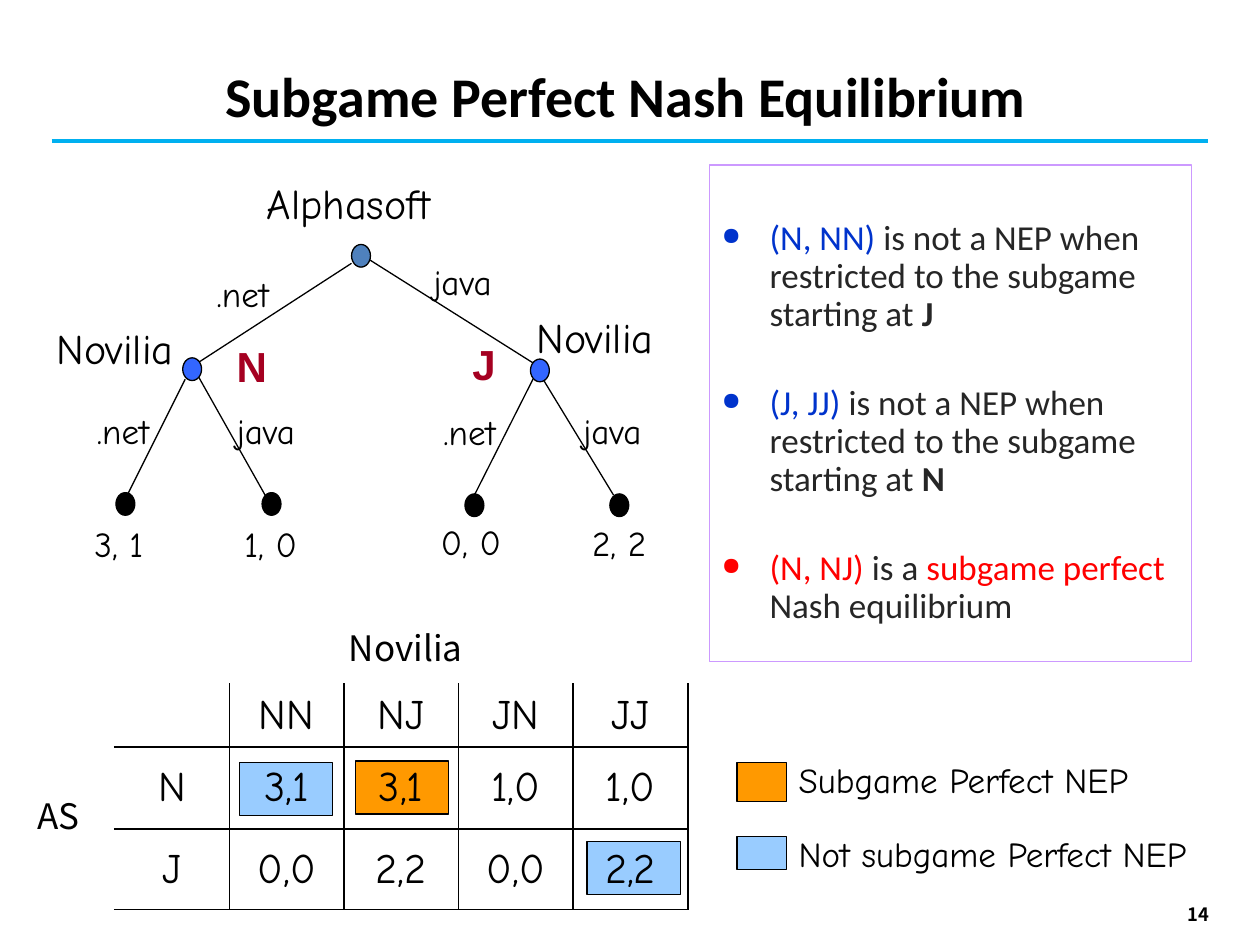
from lxml import etree
from pptx import Presentation, util as u
from pptx.dml.color import RGBColor
from pptx.enum import shapes, text
from pptx.oxml.ns import qn

BLACK, BLUE, ORANGE, RED = "000000", "99CCFF", "FF9900", "FF0000"
HAND, SANS, BODY = "Comic Neue", "Noto Sans CJK KR", "Calibri"


def color(value):
    return RGBColor.from_string(value)


class SlideBuilder:
    """Holds the style and the current slide, and adds each kind of element."""

    def __init__(self, presentation):
        self.slide = presentation.slides.add_slide(presentation.slide_layouts[6])
        self.shapes = self.slide.shapes

    def run(self, paragraph, words, size=20, name=HAND, tint=BLACK, bold=False):
        run = paragraph.add_run()
        run.text = words
        for key, value in {"size": u.Pt(size), "name": name, "bold": bold}.items():
            setattr(run.font, key, value)
        run.font.color.rgb = color(tint)

    def label(self, words, left, top, width, height=0.44, wrap=False, middle=False, **style):
        box = self.shapes.add_textbox(*map(u.Inches, (left, top, width, height)))
        box.text_frame.word_wrap = wrap
        if middle:
            box.text_frame.vertical_anchor = text.MSO_ANCHOR.MIDDLE
        self.run(box.text_frame.paragraphs[0], words, **style)

    def line(self, start, end, tint=BLACK, width=0.75):
        line = self.shapes.add_connector(
            shapes.MSO_CONNECTOR.STRAIGHT, *map(u.Inches, (*start, *end)))
        line.line.color.rgb = color(tint)
        line.line.width = u.Pt(width)
        etree.SubElement(line._element.spPr, qn("a:effectLst"))

    def shape(self, kind, left, top, width, height, fill=None, outline=BLACK):
        shape = self.shapes.add_shape(kind, *map(u.Inches, (left, top, width, height)))
        shape.shadow.inherit = False
        if fill:
            shape.fill.solid()
            shape.fill.fore_color.rgb = color(fill)
        else:
            shape.fill.background()
        shape.line.color.rgb = color(outline)
        shape.line.width = u.Pt(0.75)
        return shape

    def rectangle(self, *place, **style):
        return self.shape(shapes.MSO_SHAPE.RECTANGLE, *place, **style)

    def node(self, left, top, fill):
        self.shape(shapes.MSO_SHAPE.OVAL, left, top, 0.15, 0.18, fill)

    def bullets(self, shape, items):
        frame = shape.text_frame
        settings = {"word_wrap": True, "vertical_anchor": text.MSO_ANCHOR.TOP,
                    "margin_top": u.Inches(0.44)}
        for key, value in settings.items():
            setattr(frame, key, value)
        for index, runs in enumerate(items):
            paragraph = frame.add_paragraph() if index else frame.paragraphs[0]
            layout = {"alignment": text.PP_ALIGN.LEFT, "line_spacing": 0.9,
                      "space_before": u.Pt(29.5 if index else 0)}
            for key, value in layout.items():
                setattr(paragraph, key, value)
            properties = paragraph._p.get_or_add_pPr()
            properties.set("marL", str(u.Inches(0.38)))
            properties.set("indent", str(u.Inches(-0.38)))
            etree.SubElement(properties, qn("a:buSzPct"), val="70000")
            etree.SubElement(properties, qn("a:buChar"), char="●")
            for words, tint, bold in runs:
                self.run(paragraph, words, name=BODY, tint=tint, bold=bold)

    def border(self, cell, sides):
        properties = cell._tc.get_or_add_tcPr()
        for index, side in enumerate(sides):
            edge = etree.Element(qn("a:ln" + side), w=str(u.Pt(1)))
            fill = etree.SubElement(edge, qn("a:solidFill"))
            etree.SubElement(fill, qn("a:srgbClr"), val=BLACK)
            properties.insert(index, edge)

    def table(self, rows, left, top, column_width, heights):
        columns = len(rows[0])
        place = (left, top, column_width * columns, sum(heights))
        table = self.shapes.add_table(len(rows), columns, *map(u.Inches, place)).table
        table.first_row = table.horz_banding = False
        for column in table.columns:
            column.width = u.Inches(column_width)
        for r, (words, height) in enumerate(zip(rows, heights)):
            table.rows[r].height = u.Inches(height)
            for c, word in enumerate(words):
                cell = table.cell(r, c)
                cell.fill.background()
                cell.vertical_anchor = text.MSO_ANCHOR.MIDDLE
                paragraph = cell.text_frame.paragraphs[0]
                paragraph.alignment = text.PP_ALIGN.CENTER
                if word:
                    self.run(paragraph, word, size=24)
                self.border(cell, "L" * (c > 0) + "R" + "T" * (r > 0) + "B")


presentation = Presentation()
presentation.slide_width, presentation.slide_height = u.Inches(10), u.Inches(7.5)
builder = SlideBuilder(presentation)

builder.label("14", 9.33, 7.14, 0.79, 0.23, middle=True, size=10.5, name=SANS, bold=True)
builder.line((0.41, 1.12), (9.59, 1.12), "00B0F0", 2.25)
builder.label("Subgame Perfect Nash Equilibrium", 1.69, 0.44, 7.8, 0.59,
              wrap=True, size=32, name=BODY, bold=True)

panel = builder.rectangle(5.63, 1.31, 3.83, 3.94, outline="CC99FF")
restricted = " is not a NEP when restricted to the subgame starting at "
DARK, ROYAL = "262626", "0033CC"
builder.bullets(panel, [
    [("(N, NN)", ROYAL, False), (restricted, DARK, False), ("J", DARK, True)],
    [("(J, JJ)", ROYAL, False), (restricted, DARK, False), ("N", DARK, True)],
    [("(N, NJ)", RED, False), (" is a ", DARK, False),
     ("subgame perfect", RED, False), (" Nash equilibrium", DARK, False)],
])

for start, end in [((1.57, 2.88), (2.79, 2.09)), ((2.93, 2.06), (4.23, 2.88)),
                   ((1.01, 3.93), (1.47, 3.01)), ((1.57, 2.98), (2.11, 3.94)),
                   ((3.76, 3.94), (4.23, 3.01)), ((4.31, 3.01), (4.87, 3.93))]:
    builder.line(start, end)
builder.node(2.79, 1.94, "4F81BD")
for left, top in [(1.45, 2.84), (4.21, 2.85)]:
    builder.node(left, top, "3366FF")
for left, top in [(0.92, 3.91), (2.08, 3.91), (3.69, 3.92), (4.84, 3.92)]:
    builder.node(left, top, BLACK)

for player, left, top, width in [("Alphasoft", 2.02, 1.36, 1.76),
                                 ("Novilia", 0.35, 2.51, 1.3),
                                 ("Novilia", 4.16, 2.42, 1.3)]:
    builder.label(player, left, top, width, 0.5, size=24)
for move, left, top in [(".net", 1.62, 2.11), (".net", 0.67, 3.2), (".net", 3.42, 3.21),
                        ("java", 3.34, 2.02), ("java", 1.78, 3.2), ("java", 4.53, 3.2),
                        ("3, 1", 0.65, 4.1), ("1, 0", 1.84, 4.1),
                        ("0, 0", 3.4, 4.08), ("2, 2", 4.6, 4.09)]:
    builder.label(move, left, top, 0.71)
for subgame, left, top in [("N", 1.78, 2.65), ("J", 3.65, 2.64)]:
    builder.label(subgame, left, top, 0.44, 0.5, size=24, name="Arial",
                  tint="A50021", bold=True)

for left, top, fill in [(1.9, 6.05, BLUE), (2.82, 6.04, ORANGE), (4.66, 6.68, BLUE)]:
    builder.rectangle(left, top, 0.74, 0.42, fill=fill)
builder.table([["", "NN", "NJ", "JN", "JJ"],
               ["N", "3,1", "3,1", "1,0", "1,0"],
               ["J", "0,0", "2,2", "0,0", "2,2"]], 0.91, 5.43, 0.91, [0.49, 0.65, 0.64])
builder.label("AS", 0.2, 6.26, 0.64, 0.43, name=SANS)
builder.label("Novilia", 2.67, 4.92, 1.3, 0.43, name=SANS)

for meaning, top, height, fill in [("Subgame Perfect NEP", 6.05, 0.31, ORANGE),
                                   ("Not subgame Perfect NEP", 6.64, 0.26, BLUE)]:
    builder.rectangle(5.85, top, 0.39, height, fill=fill)
    builder.label(meaning, 6.24, top - 0.08, 3.7, 0.43, wrap=True)

presentation.save("out.pptx")
